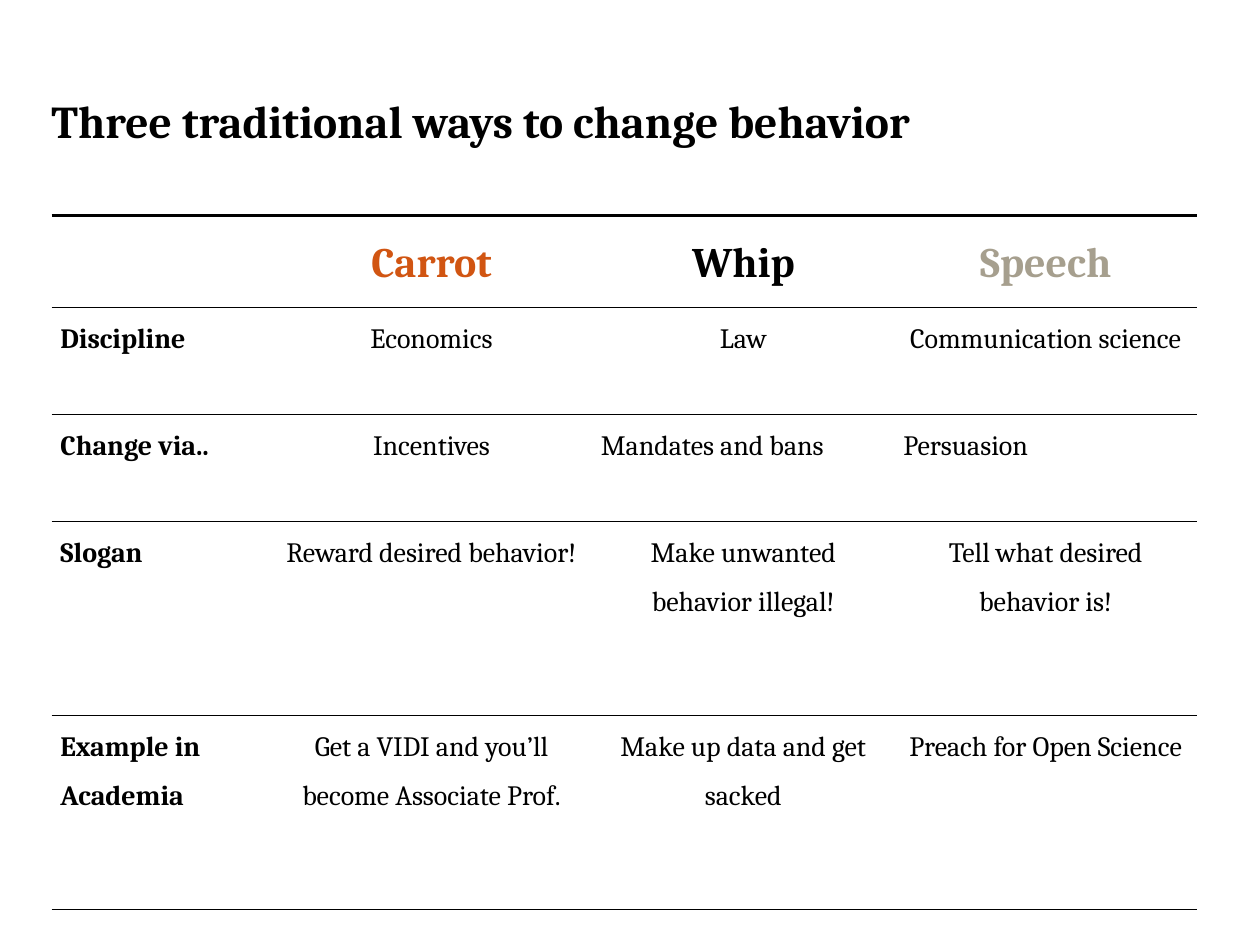
"""Build a slide with a table of three ways to change behavior."""
from lxml import etree
from pptx import Presentation
from pptx.dml.color import RGBColor
from pptx.enum import text
from pptx.oxml import ns
from pptx.util import Inches, Pt

LEFT, MID = text.PP_ALIGN.LEFT, text.PP_ALIGN.CENTER


def write(frame, words, size=16, color="000000", bold=False, align=LEFT, space=1.0):
    frame.word_wrap = True
    par = frame.paragraphs[0]
    par.alignment, par.line_spacing = align, space
    run = par.add_run()
    run.text = words
    font = run.font
    font.name, font.size, font.bold = "Cambria", Pt(size), bold
    font.color.rgb = RGBColor.from_string(color)


def border(cell, top, low):
    props = cell._tc.get_or_add_tcPr()
    for spot, (side, width) in enumerate(zip("LRTB", (0, 0, top, low))):
        line = etree.Element(ns.qn(f"a:ln{side}"), w=str(Pt(width)))
        if width:
            fill = etree.SubElement(line, ns.qn("a:solidFill"))
            etree.SubElement(fill, ns.qn("a:srgbClr"), val="000000")
        else:
            etree.SubElement(line, ns.qn("a:noFill"))
        props.insert(spot, line)


deck = Presentation()
deck.slide_width, deck.slide_height = Inches(10), Inches(7.5)
slide = deck.slides.add_slide(deck.slide_layouts[6])

title = slide.shapes.add_textbox(Inches(0.31), Inches(0.69), Inches(9.19), Inches(0.9))
write(title.text_frame, "Three traditional ways to change behavior", size=26, bold=True)

rows = [
    ["", "Carrot", "Whip", "Speech"],
    ["Discipline", "Economics", "Law", "Communication science"],
    ["Change via..", "Incentives", "Mandates and bans", "Persuasion"],
    ["Slogan", "Reward desired behavior!", "Make unwanted behavior illegal!",
     "Tell what desired behavior is!"],
    ["Example in Academia", "Get a VIDI and you’ll become Associate Prof.",
     "Make up data and get sacked", "Preach for Open Science"],
]
widths = [1.74, 2.55, 2.4, 2.4]
heights = [0.73, 0.85, 0.85, 1.54, 1.54]
heads = ["000000", "D15512", "000000", "A69F8E"]
rules = [1.5, 1, 0.25, 0.25, 0.25, 0.25]
flush = {(2, 2), (2, 3)}

table = slide.shapes.add_table(
    len(rows), len(widths), Inches(0.41), Inches(1.71),
    Inches(sum(widths)), Inches(sum(heights))).table
table.first_row = table.horz_banding = False
for col, width in zip(table.columns, widths):
    col.width = Inches(width)

for r, row in enumerate(rows):
    table.rows[r].height = Inches(heights[r])
    for c, words in enumerate(row):
        cell = table.cell(r, c)
        cell.fill.background()
        cell.margin_left = cell.margin_right = Inches(0.07)
        cell.margin_top = cell.margin_bottom = 0
        border(cell, rules[r], rules[r + 1])
        if words:
            write(cell.text_frame, words, size=16 if r else 24,
                  color="000000" if r else heads[c], bold=r == 0 or c == 0,
                  align=LEFT if c == 0 or (r, c) in flush else MID, space=1.5)

deck.save("out.pptx")
